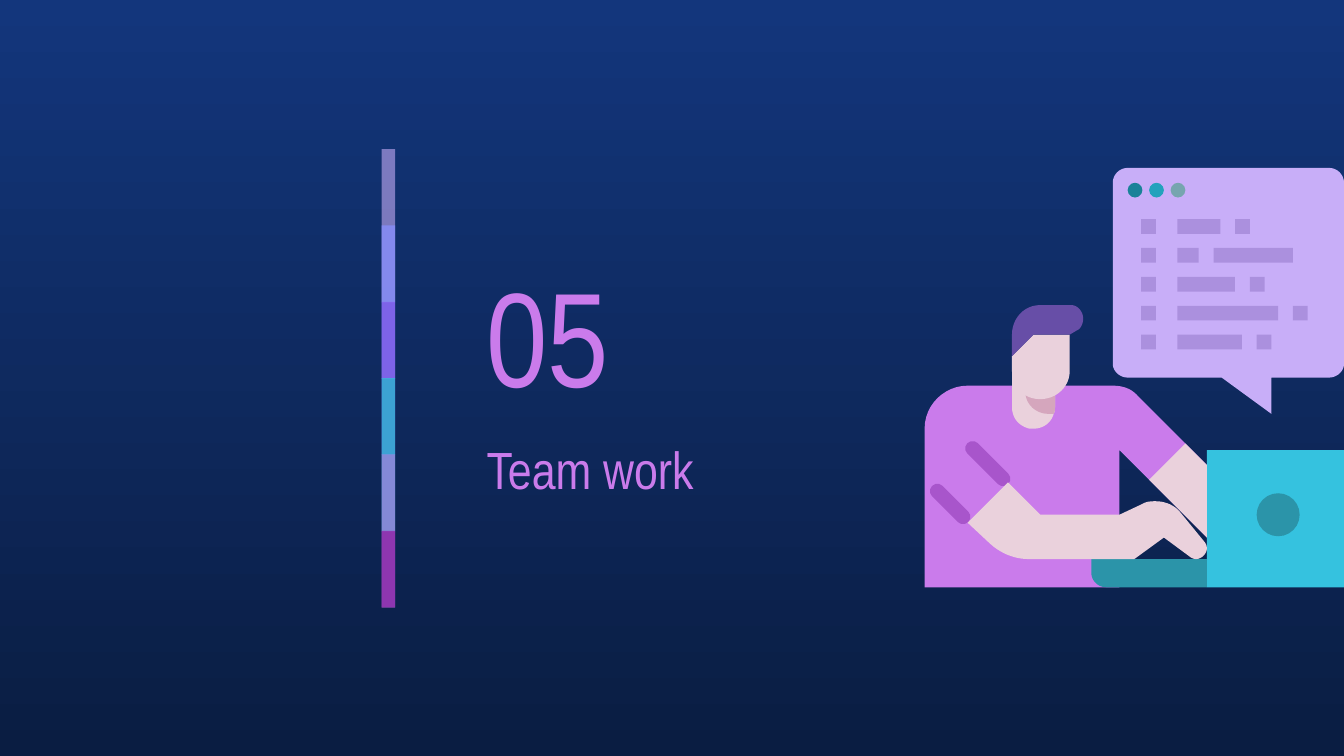
import dataclasses
import typing

import lxml.etree
import pptx
import pptx.dml.color
import pptx.enum.shapes
import pptx.enum.text
import pptx.oxml.ns
import pptx.util

Inches = pptx.util.Inches
RGBColor = pptx.dml.color.RGBColor
Kind = pptx.enum.shapes.MSO_SHAPE

NIGHT_TOP = RGBColor(0x13, 0x36, 0x7C)
NIGHT_BOTTOM = RGBColor(0x0A, 0x1D, 0x42)
ORCHID = RGBColor(0xCA, 0x7B, 0xEB)
CUFF = RGBColor(0xA8, 0x55, 0xCB)
LILAC = RGBColor(0xC8, 0xAE, 0xF8)
CODE = RGBColor(0xAB, 0x90, 0xDE)
PERIWINKLE = RGBColor(0x87, 0x8F, 0xFF)
VIOLET = RGBColor(0x91, 0x54, 0xF8)
PURPLE = RGBColor(0x97, 0x2C, 0xB4)
CYAN = RGBColor(0x35, 0xC2, 0xDF)
TEAL = RGBColor(0x2B, 0x94, 0xA9)
SKIN = RGBColor(0xEA, 0xD1, 0xDC)
SKIN_SHADE = RGBColor(0xD5, 0xA6, 0xBD)
HAIR = RGBColor(0x67, 0x4E, 0xA7)
DARK_TEAL = RGBColor(0x19, 0x82, 0x98)
MID_TEAL = RGBColor(0x22, 0xA2, 0xBC)
GREY_TEAL = RGBColor(0x76, 0xA5, 0xAF)

FONT = "Arial Narrow"
CURVE_STEPS = 12
BLOCK = 0.11
STRIP_STEP = (3.95 - 1.11) / 5
CODE_STEP = (2.49 - 1.63) / 4


@dataclasses.dataclass(frozen=True)
class Strip:
    color: RGBColor
    opacity: int
    height: float = 1.14


@dataclasses.dataclass(frozen=True)
class Outline:
    color: RGBColor
    start: tuple[float, float]
    steps: list[tuple[float, ...]]


STRIPS = [
    Strip(LILAC, 59), Strip(PERIWINKLE, 74), Strip(VIOLET, 53),
    Strip(CYAN, 76), Strip(ORCHID, 56), Strip(PURPLE, 74, 0.57),
]
CODE_ROWS = [(0.32, 0.11), (0.16, 0.59), (0.43, 0.11), (0.75, 0.11), (0.48, 0.11)]
WINDOW_DOTS = [DARK_TEAL, MID_TEAL, GREY_TEAL]

TORSO = Outline(ORCHID, (7.2, 2.87), [
    (7.03, 2.87, 6.88, 3.01, 6.88, 3.19), (6.88, 4.37), (8.33, 4.37),
    (8.33, 3.35), (8.98, 4), (8.98, 3.46), (8.47, 2.95),
    (8.42, 2.89, 8.35, 2.87, 8.28, 2.87)])
LAPTOP_BASE = Outline(TEAL, (8.12, 4.16), [
    (8.12, 4.26), (8.12, 4.32, 8.17, 4.37, 8.23, 4.37), (8.98, 4.37), (8.98, 4.16)])
NECK = Outline(SKIN, (7.53, 2.71), [
    (7.53, 3.03), (7.53, 3.11, 7.58, 3.17, 7.66, 3.19),
    (7.67, 3.19, 7.68, 3.19, 7.69, 3.19), (7.76, 3.19, 7.82, 3.15, 7.84, 3.08),
    (7.85, 3.06, 7.85, 3.05, 7.85, 3.03), (7.85, 2.71)])
NECK_SHADE = Outline(SKIN_SHADE, (7.63, 2.71), [
    (7.63, 2.92), (7.63, 3.01, 7.71, 3.08, 7.8, 3.08), (7.84, 3.08),
    (7.85, 3.06, 7.85, 3.05, 7.85, 3.03), (7.85, 2.71)])
NEAR_ARM = Outline(SKIN, (7.5, 3.59), [
    (7.2, 3.89), (7.35, 4.03), (7.43, 4.11, 7.54, 4.16, 7.65, 4.16),
    (8.44, 4.16), (8.66, 4), (8.85, 4.14),
    (8.86, 4.15, 8.88, 4.16, 8.9, 4.16), (8.94, 4.16, 8.98, 4.12, 8.98, 4.08),
    (8.98, 4.06, 8.97, 4.04, 8.96, 4.03), (8.78, 3.81),
    (8.74, 3.76, 8.67, 3.73, 8.6, 3.73), (8.57, 3.73, 8.53, 3.73, 8.5, 3.75),
    (8.33, 3.83), (7.74, 3.83)])
FAR_ARM = Outline(SKIN, (8.82, 3.3), [(8.55, 3.57), (8.98, 4), (8.98, 3.46)])
BUBBLE = Outline(LILAC, (8.39, 1.25), [
    (8.33, 1.25, 8.28, 1.3, 8.28, 1.36), (8.28, 2.71),
    (8.28, 2.76, 8.33, 2.81, 8.39, 2.81), (9.09, 2.81), (9.46, 3.08),
    (9.46, 2.81), (9.89, 2.81), (9.95, 2.81, 10, 2.76, 10, 2.71),
    (10, 1.36), (10, 1.3, 9.95, 1.25, 9.89, 1.25)])
FACE = Outline(SKIN, (7.69, 2.49), [
    (7.53, 2.65), (7.53, 2.76), (7.53, 2.88, 7.62, 2.97, 7.74, 2.97),
    (7.86, 2.97, 7.96, 2.88, 7.96, 2.76), (7.96, 2.49)])
HAIRCUT = Outline(HAIR, (7.74, 2.27), [
    (7.62, 2.27, 7.53, 2.37, 7.53, 2.49), (7.53, 2.65), (7.69, 2.49),
    (7.96, 2.49), (8.01, 2.46), (8.04, 2.45, 8.06, 2.41, 8.06, 2.37),
    (8.06, 2.32, 8.02, 2.27, 7.97, 2.27)])


def paint(shape: typing.Any, color: RGBColor) -> None:
    shape.shadow.inherit = False
    shape.fill.solid()
    shape.fill.fore_color.rgb = color
    shape.line.fill.background()


def add_block(shapes: typing.Any, kind: Kind, left: float, top: float,
              width: float, height: float, color: RGBColor) -> typing.Any:
    shape = shapes.add_shape(kind, Inches(left), Inches(top), Inches(width), Inches(height))
    paint(shape, color)
    return shape


def add_strip(shapes: typing.Any, strip: Strip, top: float) -> None:
    shape = add_block(shapes, Kind.RECTANGLE, 2.84, top, 0.1, strip.height, strip.color)
    color = next(shape.element.spPr.iter(pptx.oxml.ns.qn("a:srgbClr")))
    alpha = lxml.etree.SubElement(color, pptx.oxml.ns.qn("a:alpha"))
    alpha.set("val", str(strip.opacity * 1000))


def add_cuff(shapes: typing.Any, center_x: float, center_y: float, length: float) -> None:
    cuff = add_block(shapes, Kind.ROUNDED_RECTANGLE, center_x - length / 2,
                     center_y - BLOCK / 2, length, BLOCK, CUFF)
    cuff.adjustments[0] = 0.5
    cuff.rotation = 45


def curve_points(start: tuple[float, ...], step: tuple[float, ...]) -> list[tuple[float, ...]]:
    knots = [start, step[:2], step[2:4], step[4:]]
    points = []
    for index in range(1, CURVE_STEPS + 1):
        t = index / CURVE_STEPS
        weights = [(1 - t) ** 3, 3 * t * (1 - t) ** 2, 3 * t * t * (1 - t), t ** 3]
        points.append(tuple(sum(weight * knot[axis] for weight, knot in zip(weights, knots))
                            for axis in (0, 1)))
    return points


def add_outline(shapes: typing.Any, outline: Outline) -> None:
    points: list[tuple[float, ...]] = [outline.start]
    for step in outline.steps:
        points += [step] if len(step) == 2 else curve_points(points[-1], step)
    corners = [(Inches(x), Inches(y)) for x, y in points]
    builder = shapes.build_freeform(*corners[0], scale=1.0)
    builder.add_line_segments(corners[1:], close=True)
    paint(builder.convert_to_shape(), outline.color)


def write_text(box: typing.Any, text: str, *, size: int, color: RGBColor) -> None:
    frame = box.text_frame
    frame.word_wrap = True
    frame.auto_size = pptx.enum.text.MSO_AUTO_SIZE.NONE
    frame.vertical_anchor = pptx.enum.text.MSO_ANCHOR.MIDDLE
    frame.margin_left = frame.margin_right = Inches(0.1)
    frame.margin_top = frame.margin_bottom = Inches(0.1)
    para = frame.paragraphs[0]
    para.alignment = pptx.enum.text.PP_ALIGN.LEFT
    span = para.add_run()
    span.text = text
    span.font.name = FONT
    span.font.size = pptx.util.Pt(size)
    span.font.color.rgb = color


def add_code(shapes: typing.Any) -> None:
    for row, (first, second) in enumerate(CODE_ROWS):
        top = 1.63 + row * CODE_STEP
        for left, width in [(8.49, BLOCK), (8.76, first), (8.76 + first + BLOCK, second)]:
            add_block(shapes, Kind.RECTANGLE, left, top, width, BLOCK, CODE)


def add_worker(shapes: typing.Any) -> None:
    add_outline(shapes, TORSO)
    add_cuff(shapes, 7.07, 3.75, 0.38)
    add_cuff(shapes, 7.35, 3.45, 0.43)
    add_block(shapes, Kind.RECTANGLE, 8.98, 3.35, 1.02, 1.02, CYAN)
    for outline in (LAPTOP_BASE, NECK, NECK_SHADE, NEAR_ARM, FAR_ARM):
        add_outline(shapes, outline)
    add_block(shapes, Kind.OVAL, 9.35, 3.67, 0.32, 0.32, TEAL)
    add_outline(shapes, BUBBLE)
    add_code(shapes)
    add_outline(shapes, FACE)
    add_outline(shapes, HAIRCUT)
    for index, color in enumerate(WINDOW_DOTS):
        add_block(shapes, Kind.OVAL, 8.39 + index * 0.16, 1.36, BLOCK, BLOCK, color)


def main() -> None:
    deck = pptx.Presentation()
    deck.slide_width = Inches(10)
    deck.slide_height = Inches(10 * 9 / 16)
    page = deck.slides.add_slide(deck.slide_layouts[5])
    backdrop = page.background.fill
    backdrop.gradient()
    backdrop.gradient_angle = 270
    for stop, color in zip(backdrop.gradient_stops, (NIGHT_TOP, NIGHT_BOTTOM)):
        stop.color.rgb = color

    bar = page.shapes.add_group_shape()
    for index, strip in enumerate(STRIPS):
        add_strip(bar.shapes, strip, 1.11 + index * STRIP_STEP)

    number = page.shapes.add_textbox(Inches(3.52), Inches(1.81), Inches(1.75), Inches(1.35))
    write_text(number, "05", size=72, color=ORCHID)
    title = page.shapes.title
    title.left, title.top = Inches(3.52), Inches(3.15)
    title.width, title.height = Inches(2.87), Inches(0.67)
    write_text(title, "Team work", size=28, color=ORCHID)

    add_worker(page.shapes.add_group_shape().shapes)
    deck.save("out.pptx")


if __name__ == "__main__":
    main()
